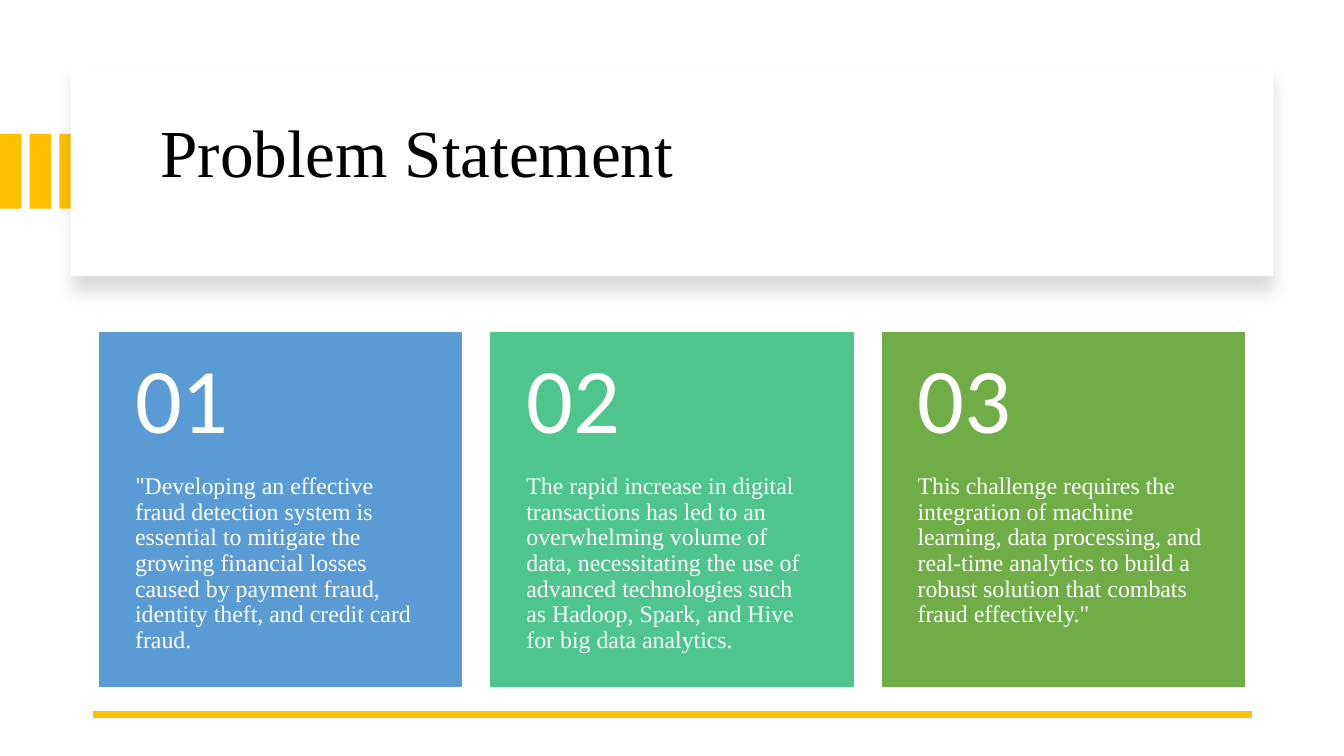
from dataclasses import dataclass

from lxml import etree
from pptx import Presentation
from pptx import util as u
from pptx.dml import color, fill
from pptx.enum import shapes, text
from pptx.oxml import ns
from pptx.shapes import autoshape, shapetree
from pptx.text import text as textmodel

SLIDE_WIDTH = u.Inches(13.33)
SLIDE_HEIGHT = u.Inches(7.5)
GOLD = "FFC000"
WHITE = "FFFFFF"
SERIF = "Times New Roman"
SANS = "Calibri"
STRIPE_PITCH = 2.21
CARD_LEFT = 7.43
CARD_PITCH = 29.11
CARD_WIDTH = 26.93
CARD_TOP = 44
NUMBER_HEIGHT = 18.67
BODY_HEIGHT = 28.13


@dataclass(frozen=True)
class Frame:
    left: float
    top: float
    width: float
    height: float

    def box(self) -> tuple[int, int, int, int]:
        return across(self.left), down(self.top), across(self.width), down(self.height)


@dataclass(frozen=True)
class Card:
    fill: str
    body: str
    opening: str = ""


CARDS = (
    Card(
        "5B9BD5",
        "Developing an effective fraud detection system is essential to mitigate the "
        "growing financial losses caused by payment fraud, identity theft, and credit "
        "card fraud.",
        '"',
    ),
    Card(
        "4DC58D",
        "The rapid increase in digital transactions has led to an overwhelming volume of "
        "data, necessitating the use of advanced technologies such as Hadoop, Spark, and "
        "Hive for big data analytics.",
    ),
    Card(
        "70AD47",
        "This challenge requires the integration of machine learning, data processing, "
        "and real-time analytics to build a robust solution that combats fraud "
        'effectively."',
    ),
)


def across(percent: float) -> int:
    return round(SLIDE_WIDTH * percent / 100)


def down(percent: float) -> int:
    return round(SLIDE_HEIGHT * percent / 100)


def paint(target: fill.FillFormat, hex_color: str) -> None:
    target.solid()
    target.fore_color.rgb = color.RGBColor.from_string(hex_color)


def format_run(run: textmodel._Run, size: float, font: str, hex_color: str) -> None:
    run.font.size = u.Pt(size)
    run.font.name = font
    paint(run.font.fill, hex_color)


def add_block(tree: shapetree._BaseGroupShapes, frame: Frame, hex_color: str) -> autoshape.Shape:
    shape = tree.add_shape(shapes.MSO_SHAPE.RECTANGLE, *frame.box())
    shape.shadow.inherit = False
    paint(shape.fill, hex_color)
    shape.line.fill.background()
    return shape


def add_label(
    tree: shapetree._BaseGroupShapes, frame: Frame, top_inset: float, bottom_inset: float
) -> textmodel.TextFrame:
    text_frame = tree.add_textbox(*frame.box()).text_frame
    text_frame.word_wrap = True
    text_frame.margin_left = text_frame.margin_right = u.Inches(0.35)
    text_frame.margin_top = u.Inches(top_inset)
    text_frame.margin_bottom = u.Inches(bottom_inset)
    text_frame.paragraphs[0].line_spacing = 0.9
    return text_frame


def add_card(tree: shapetree._BaseGroupShapes, index: int, card: Card) -> None:
    left = CARD_LEFT + index * CARD_PITCH
    block = add_block(tree, Frame(left, CARD_TOP, CARD_WIDTH, NUMBER_HEIGHT + BODY_HEIGHT), card.fill)
    paint(block.line.fill, card.fill)
    block.line.width = u.Pt(1)

    body_frame = Frame(left, CARD_TOP + NUMBER_HEIGHT, CARD_WIDTH, BODY_HEIGHT)
    paragraph = add_label(tree, body_frame, 0, 0.36).paragraphs[0]
    for words, font in ((card.opening, SANS), (card.body, SERIF)):
        if words:
            run = paragraph.add_run()
            run.text = words
            format_run(run, 17, font, WHITE)

    number = add_label(tree, Frame(left, CARD_TOP, CARD_WIDTH, NUMBER_HEIGHT), 0.18, 0.18)
    number.vertical_anchor = text.MSO_ANCHOR.MIDDLE
    number.paragraphs[0].text = f"{index + 1:02}"
    format_run(number.paragraphs[0].runs[0], 66, SANS, WHITE)


def add_panel(tree: shapetree._BaseGroupShapes) -> None:
    panel = add_block(tree, Frame(5.25, 8.93, 89.5, 27.6), WHITE)
    effects = panel._element.spPr.find(ns.qn("a:effectLst"))
    shadow = etree.SubElement(
        effects,
        ns.qn("a:outerShdw"),
        blurRad=str(u.Pt(11)),
        dist=str(u.Pt(10)),
        dir="5400000",
        algn="t",
        rotWithShape="0",
    )
    tint = etree.SubElement(shadow, ns.qn("a:srgbClr"), val="000000")
    etree.SubElement(tint, ns.qn("a:alpha"), val="15000")


def fill_title(title: autoshape.Shape) -> None:
    title.left, title.top, title.width, title.height = Frame(11.18, 9.2, 83.5, 22.67).box()
    text_frame = title.text_frame
    text_frame.text = "Problem Statement"
    text_frame.vertical_anchor = text.MSO_ANCHOR.MIDDLE
    text_frame.word_wrap = True
    paragraph = text_frame.paragraphs[0]
    paragraph.alignment = text.PP_ALIGN.LEFT
    paragraph.line_spacing = 0.9
    format_run(paragraph.runs[0], 48, SERIF, "000000")


def add_rule(tree: shapetree._BaseGroupShapes) -> None:
    height = down(94.53)
    rule = tree.add_connector(
        shapes.MSO_CONNECTOR.STRAIGHT, across(93.17), height, across(6.9), height
    )
    paint(rule.line.fill, GOLD)
    rule.line.width = u.Pt(4.5)
    etree.SubElement(rule._element.spPr, ns.qn("a:effectLst"))


def main() -> None:
    presentation = Presentation()
    presentation.slide_width = SLIDE_WIDTH
    presentation.slide_height = SLIDE_HEIGHT
    slide = presentation.slides.add_slide(presentation.slide_layouts[5])
    paint(slide.background.fill, WHITE)
    tree = slide.shapes
    title = tree.title

    stripes = tree.add_group_shape().shapes
    for index in range(3):
        add_block(stripes, Frame(index * STRIPE_PITCH, 17.73, 1.6, 9.87), GOLD)
    add_panel(tree)
    tree._spTree.append(title._element)
    fill_title(title)
    add_rule(tree)
    cards = tree.add_group_shape().shapes
    for index, card in enumerate(CARDS):
        add_card(cards, index, card)

    presentation.save("out.pptx")


if __name__ == "__main__":
    main()
